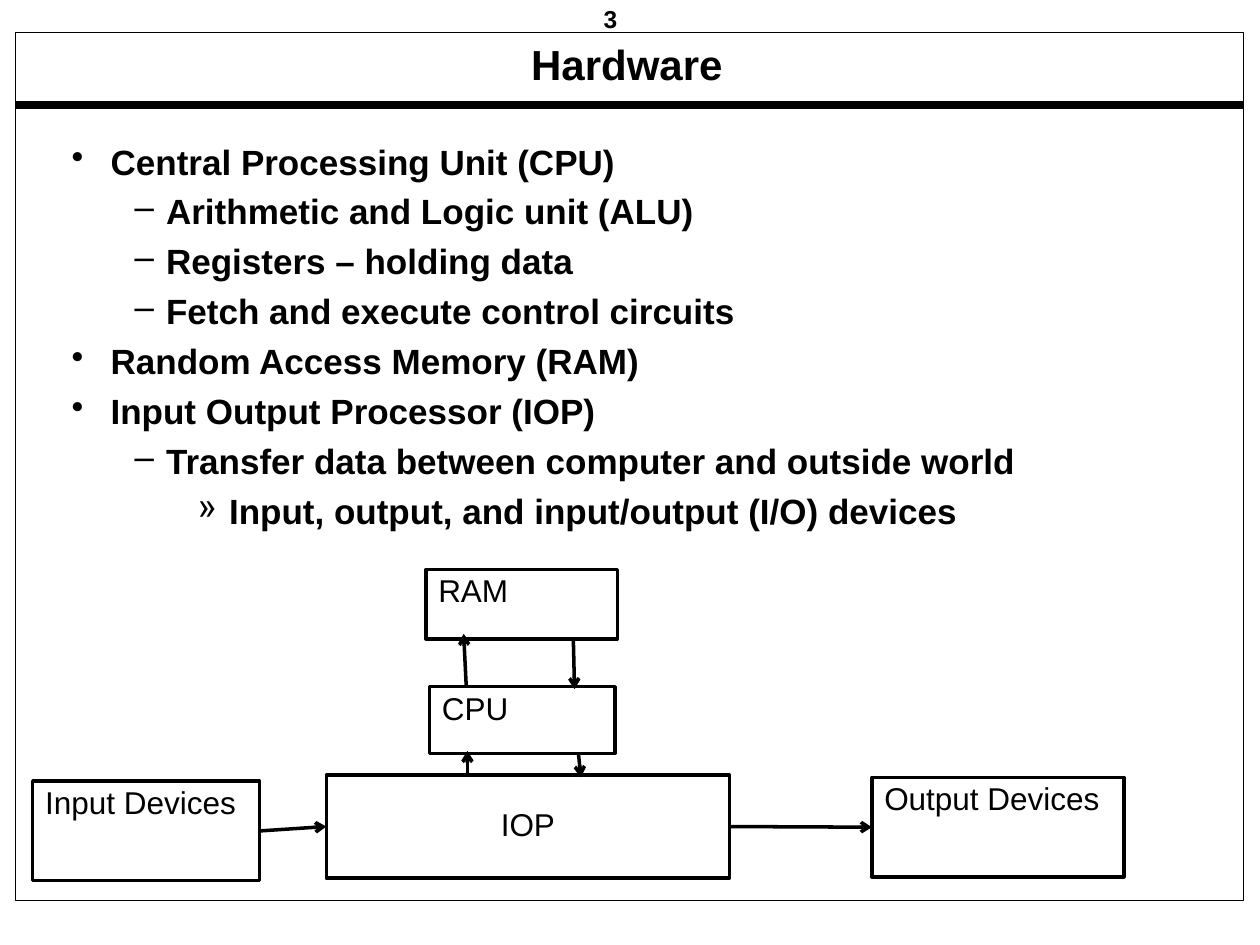
from pptx import Presentation, util as u
from pptx.dml.color import RGBColor
from pptx.enum import shapes, text
from lxml import etree

THEME = dict(font="Arial", ink=RGBColor(0, 0, 0), paper=RGBColor(255, 255, 255),
             num=14, title=24, body=20, label=18, thin=0.5, line=2, thick=4.5)
MID = text.PP_ALIGN.CENTER
NS = "{http://schemas.openxmlformats.org/drawingml/2006/main}"

deck = Presentation()
deck.slide_width, deck.slide_height = u.Inches(10), u.Inches(7.5)
page = deck.slides.add_slide(deck.slide_layouts[6])
UNIT = deck.slide_width // 100  # grid of 100 columns by 75 rows


def write(frame, words, size, bold=False, align=None, pad=(1, 0.5), wrap=True,
          lead=0.9, gap=0, bullet=None, hang=(0, 0), level=0):
    """Write one paragraph; a frame that already holds text gets a new one."""
    frame.word_wrap = wrap
    frame.margin_left = frame.margin_right = int(pad[0] * UNIT)
    frame.margin_top = frame.margin_bottom = int(pad[1] * UNIT)
    first = not frame.text
    para = frame.paragraphs[0] if first else frame.add_paragraph()
    para.level, para.line_spacing = level, lead
    para.alignment = align or text.PP_ALIGN.LEFT
    para.space_before = u.Pt(0 if first else gap)
    if bullet:
        props = para._p.get_or_add_pPr()
        props.set("marL", str(int(hang[0] * UNIT)))
        props.set("indent", str(int(-hang[1] * UNIT)))
        etree.SubElement(props, NS + "buChar", char=bullet)
    run = para.add_run()
    run.text = words
    run.font.name, run.font.size, run.font.bold = THEME["font"], u.Pt(size), bold
    run.font.color.rgb = THEME["ink"]


def link(ends, width, arrow=True):
    """Draw a straight line between two grid points."""
    wire = page.shapes.add_connector(shapes.MSO_CONNECTOR.STRAIGHT,
                                     *[int(n * UNIT) for n in ends])
    wire.line.color.rgb, wire.line.width = THEME["ink"], u.Pt(width)
    if arrow:
        etree.SubElement(wire.line._get_or_add_ln(), NS + "tailEnd", type="arrow")
    etree.SubElement(wire._element.spPr, NS + "effectLst")
    return wire


# Page number, rule and title
area = [int(n * UNIT) for n in (47.2, 0, 3.8, 2.9)]
write(page.shapes.add_textbox(*area).text_frame, "3", THEME["num"], bold=True,
      pad=(0.7, 0.3), wrap=False, lead=1)
link((1.2, 8.3, 98.7, 8.3), THEME["thick"], arrow=False)
area = [int(n * UNIT) for n in (1.6, 3.2, 96.3, 4.2)]
write(page.shapes.add_textbox(*area).text_frame, "Hardware", THEME["title"],
      bold=True, align=MID, pad=(0.7, 0.3))

# Outline: level and words
marks = [("•", (3.1, 3.1)), ("–", (7.5, 2.5)), ("»", (12.5, 2.5))]
items = [
    (0, "Central Processing Unit (CPU)"),
    (1, "Arithmetic and Logic unit (ALU)"),
    (1, "Registers – holding data"),
    (1, "Fetch and execute control circuits"),
    (0, "Random Access Memory (RAM)"),
    (0, "Input Output Processor (IOP)"),
    (1, "Transfer data between computer and outside world"),
    (2, "Input, output, and input/output (I/O) devices"),
]
area = [int(n * UNIT) for n in (4.7, 11, 90, 49.5)]
body = page.shapes.add_textbox(*area).text_frame
for level, words in items:
    mark, hang = marks[level]
    write(body, words, THEME["body"], bold=True, gap=6.9, bullet=mark,
          hang=hang, level=level)

# Page frame and the units of the machine
units = {}
for name, spot in [
    ("", (1.2, 2.6, 97.5, 68.9)),
    ("RAM", (33.8, 45.2, 15.2, 5.5)),
    ("CPU", (34.1, 54.5, 14.7, 5.3)),
    ("IOP", (25.9, 61.5, 32, 8.2)),
    ("Output Devices", (69.2, 61.7, 20, 7.9)),
    ("Input Devices", (2.6, 62, 18, 7.9)),
]:
    box = page.shapes.add_shape(shapes.MSO_SHAPE.RECTANGLE,
                                *[int(n * UNIT) for n in spot])
    box.shadow.inherit = False
    box.line.color.rgb = THEME["ink"]
    box.line.width = u.Pt(THEME["line"] if name else THEME["thin"])
    if not name:
        box.fill.background()
        continue
    box.fill.solid()
    box.fill.fore_color.rgb = THEME["paper"]
    core = name == "IOP"
    box.text_frame.vertical_anchor = (text.MSO_ANCHOR.MIDDLE if core
                                      else text.MSO_ANCHOR.TOP)
    write(box.text_frame, name, THEME["label"], align=MID if core else None)
    units[name] = box

# Data paths up and down the stack
for ends in [(37, 54.4, 36.8, 50.3), (45.5, 50.6, 45.6, 54.7),
             (37.1, 61.4, 37.1, 59.6), (45.9, 59.7, 46.1, 61.7)]:
    link(ends, THEME["line"])

# Data paths to and from the devices
for source, target in [("Input Devices", "IOP"), ("IOP", "Output Devices")]:
    wire = link((0, 0, 1, 1), THEME["line"])
    wire.begin_connect(units[source], 3)
    wire.end_connect(units[target], 1)

deck.save("out.pptx")
